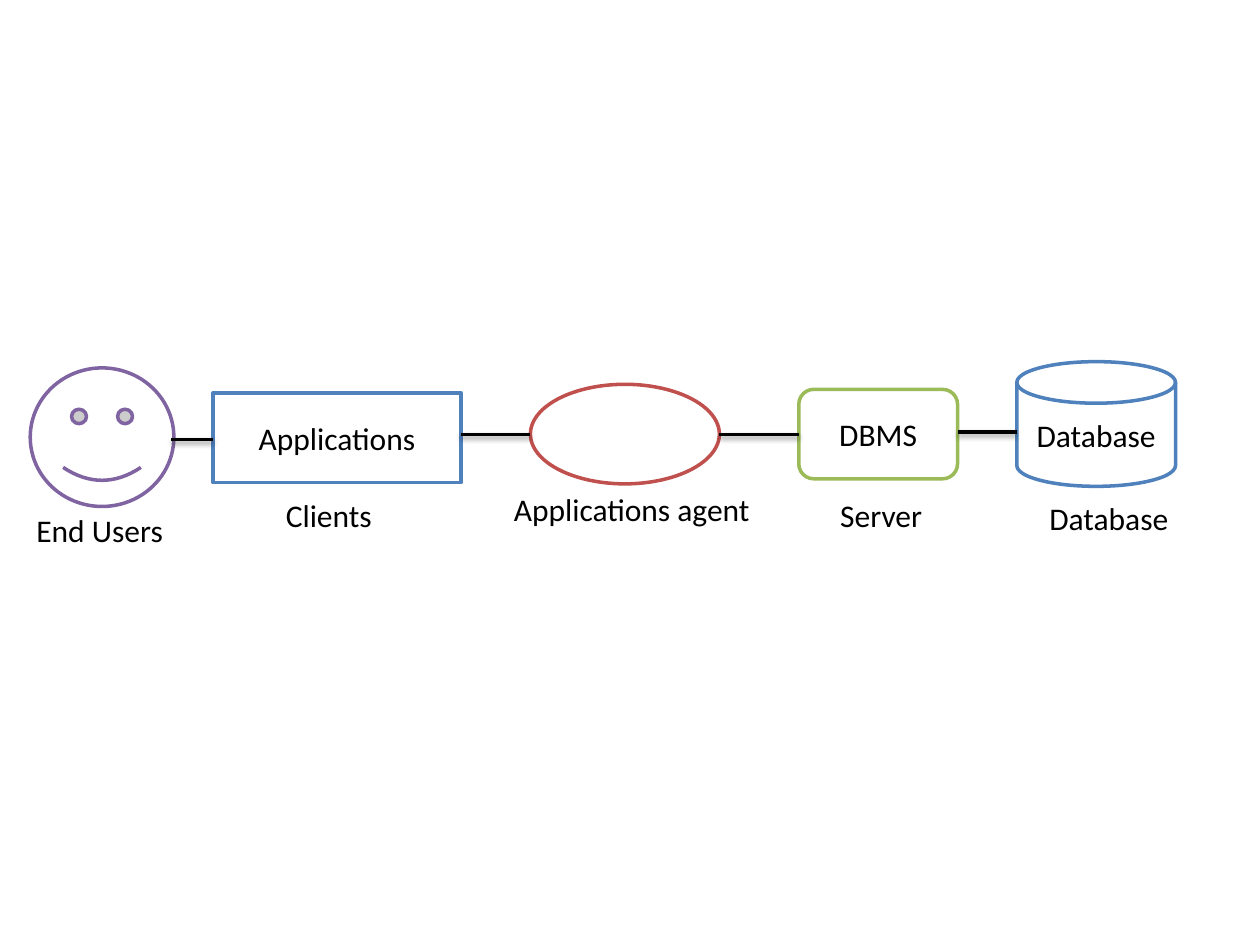
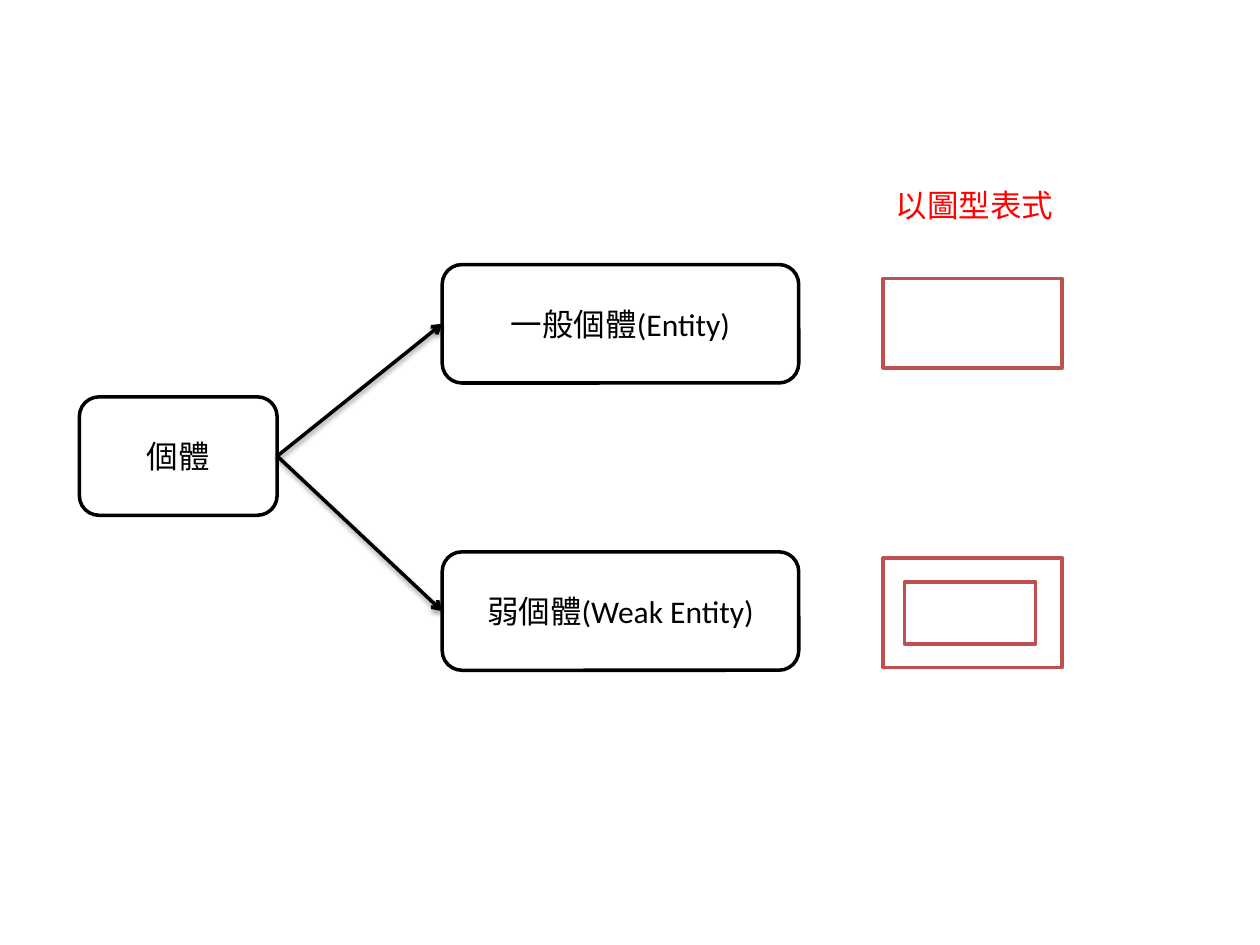
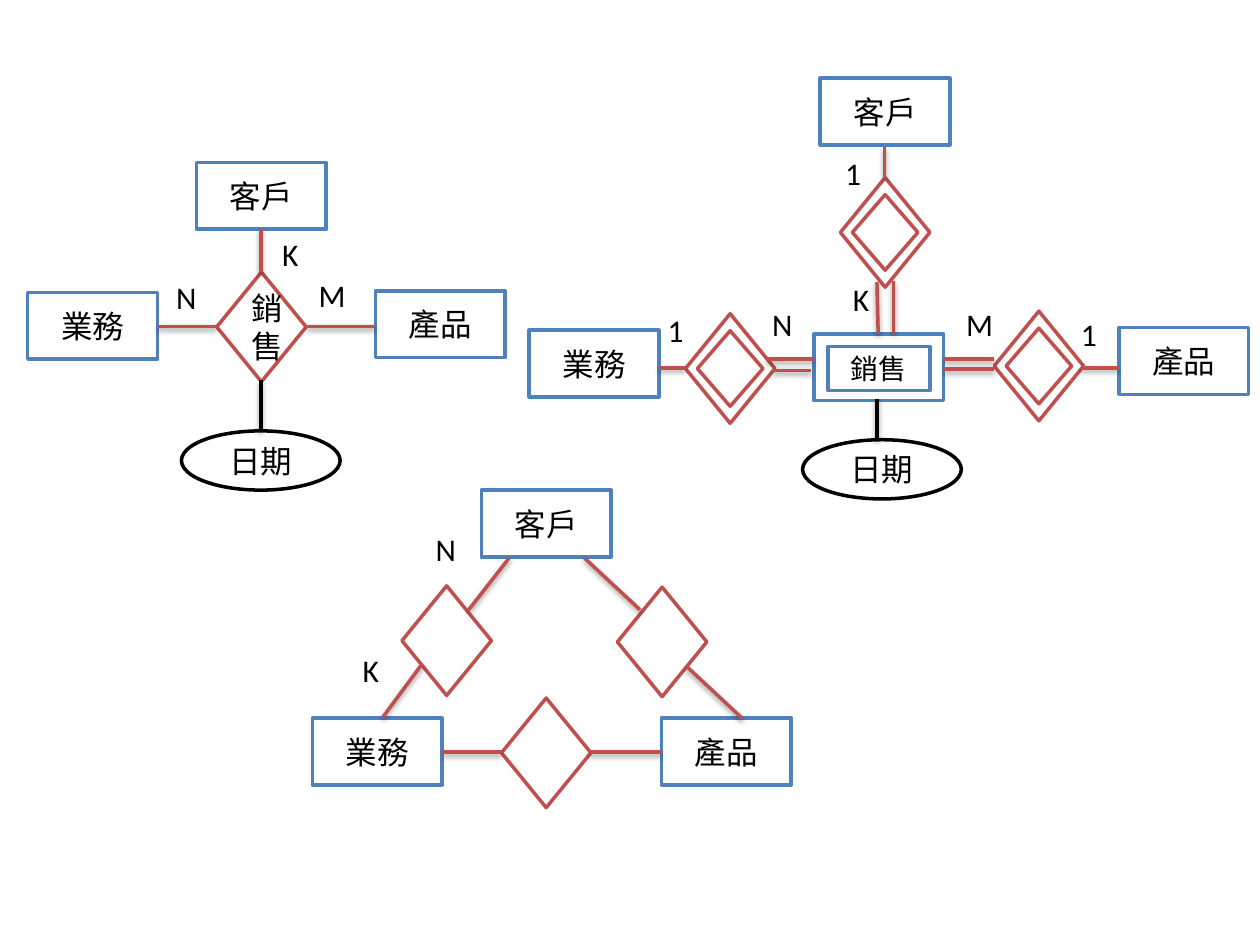
from lxml import etree
from pptx import Presentation
from pptx import util as u
from pptx.dml import color
from pptx.enum import shapes, text
from pptx.oxml import ns

BLACK, WHITE, RED = "000000", "FFFFFF", "FF0000"
BLUE, BRICK, GREEN, PURPLE = "4F81BD", "C0504D", "9BBB59", "8064A2"
SHAPE = shapes.MSO_SHAPE
ENTITY_SIZE = (1.03, 0.53)
DIAMOND_SIZE = (0.71, 0.87)
INNER_DIAMOND_SIZE = (0.52, 0.6)
ATTRIBUTE_SIZE = (1.26, 0.47)


def rgb(value):
    return color.RGBColor.from_string(value)


class Deck:
    """Holds the shared style and the slide or group being drawn on."""
    font = "Calibri"
    text_size = 18
    line_width = 2

    def __init__(self):
        self.presentation = Presentation()
        self.presentation.slide_width = u.Inches(10)
        self.presentation.slide_height = u.Inches(7.5)

    def new_slide(self):
        blank = self.presentation.slide_layouts[6]
        self.slide = self.presentation.slides.add_slide(blank)
        self.target = self.slide.shapes

    def new_group(self):
        self.target = self.slide.shapes.add_group_shape().shapes

    def set_words(self, shape, words, ink, size):
        shape.text_frame.text = words
        for paragraph in shape.text_frame.paragraphs:
            for run in paragraph.runs:
                run.font.name = self.font
                run.font.size = u.Pt(size)
                run.font.color.rgb = rgb(ink)

    def box(self, kind, place, line, words="", size=text_size):
        shape = self.target.add_shape(kind, *map(u.Inches, place))
        shape.shadow.inherit = False
        shape.fill.solid()
        shape.fill.fore_color.rgb = rgb(WHITE)
        shape.line.color.rgb = rgb(line)
        shape.line.width = u.Pt(self.line_width)
        if words:
            self.set_words(shape, words, BLACK, size)
            shape.text_frame.vertical_anchor = text.MSO_ANCHOR.MIDDLE
            shape.text_frame.paragraphs[0].alignment = text.PP_ALIGN.CENTER

    def label(self, words, left, top, width=0.33, ink=BLACK):
        shape = self.target.add_textbox(*map(u.Inches, (left, top, width, 0.4)))
        shape.text_frame.word_wrap = True
        self.set_words(shape, words, ink, self.text_size)
        shape.text_frame.auto_size = text.MSO_AUTO_SIZE.SHAPE_TO_FIT_TEXT

    def link(self, x1, y1, x2, y2, line=BRICK, arrow=False):
        connector = self.target.add_connector(
            shapes.MSO_CONNECTOR.STRAIGHT, *map(u.Inches, (x1, y1, x2, y2)))
        connector.line.color.rgb = rgb(line)
        connector.line.width = u.Pt(self.line_width)
        properties = connector._element.spPr
        if arrow:
            etree.SubElement(properties.find(ns.qn("a:ln")),
                             ns.qn("a:tailEnd"), type="arrow")
        # Soft shadow straight below the line
        effects = etree.SubElement(properties, ns.qn("a:effectLst"))
        shadow = etree.SubElement(
            effects, ns.qn("a:outerShdw"), blurRad=str(u.Pt(3.1)),
            dist=str(u.Pt(1.6)), dir="5400000", rotWithShape="0")
        shade = etree.SubElement(shadow, ns.qn("a:srgbClr"), val=BLACK)
        etree.SubElement(shade, ns.qn("a:alpha"), val="38000")

    # Parts of an entity-relationship diagram
    def entity(self, words, left, top):
        self.box(SHAPE.RECTANGLE, (left, top, *ENTITY_SIZE), BLUE, words)

    def relation(self, left, top, words=""):
        self.box(SHAPE.DIAMOND, (left, top, *DIAMOND_SIZE), BRICK, words)

    def weak_relation(self, left, top):
        self.relation(left, top)
        inset_x, inset_y = [(outer - inner) / 2 for outer, inner
                            in zip(DIAMOND_SIZE, INNER_DIAMOND_SIZE)]
        self.box(SHAPE.DIAMOND, (left + inset_x, top + inset_y,
                                 *INNER_DIAMOND_SIZE), BRICK)

    def attribute(self, words, left, top):
        self.box(SHAPE.OVAL, (left, top, *ATTRIBUTE_SIZE), BLACK, words)


deck = Deck()

# Slide 1: chain from end users to the database
deck.new_slide()
for kind, place, line, words in [
        (SHAPE.RECTANGLE, (1.69, 3.12, 1.97, 0.71), BLUE, "Applications"),
        (SHAPE.OVAL, (4.21, 3.05, 1.5, 0.79), BRICK, ""),
        (SHAPE.FLOWCHART_MAGNETIC_DISK, (8.07, 2.87, 1.26, 0.99), BLUE, "Database"),
        (SHAPE.ROUNDED_RECTANGLE, (6.34, 3.09, 1.26, 0.71), GREEN, "DBMS"),
        (SHAPE.SMILEY_FACE, (0.24, 2.92, 1.14, 1.1), PURPLE, "")]:
    deck.box(kind, place, line, words)
for words, left, top, width in [
        ("End Users", 0.19, 4.01, 1.25), ("Clients", 2.17, 3.89, 1.97),
        ("Applications agent", 3.98, 3.84, 2.13),
        ("Server", 6.57, 3.89, 1.18), ("Database", 8.23, 3.91, 1.5)]:
    deck.label(words, left, top, width)
for start, end, y in [(1.36, 1.69, 3.49), (3.66, 4.21, 3.45),
                      (5.71, 6.34, 3.45), (7.6, 8.07, 3.43)]:
    deck.link(start, y, end, y, BLACK)

# Slide 2: kinds of entity and their symbols
deck.new_slide()
deck.box(SHAPE.ROUNDED_RECTANGLE, (0.63, 3.15, 1.57, 0.94), BLACK, "個體")
for words, top in [("一般個體(Entity)", 2.1), ("弱個體(Weak Entity)", 4.38)]:
    deck.box(SHAPE.ROUNDED_RECTANGLE, (3.51, top, 2.83, 0.94), BLACK, words)
    deck.link(2.2, 3.62, 3.51, top + 0.47, BLACK, arrow=True)
for place in [(7.01, 2.21, 1.42, 0.71), (7.01, 4.43, 1.42, 0.87),
              (7.18, 4.62, 1.04, 0.49)]:
    deck.box(SHAPE.RECTANGLE, place, BRICK)
deck.label("以圖型表式", 7.01, 1.43, 1.54, RED)

# Slide 3, upper left: one relation joining three entities
deck.new_slide()
deck.new_group()
deck.relation(1.72, 2.16, "銷售")
deck.entity("業務", 0.22, 2.32)
deck.entity("產品", 2.98, 2.31)
deck.entity("客戶", 1.56, 1.29)
deck.attribute("日期", 1.44, 3.42)
deck.link(1.25, 2.59, 1.72, 2.59)
deck.link(2.43, 2.59, 2.98, 2.59)
deck.link(2.07, 2.16, 2.07, 1.82)
deck.link(2.07, 3.02, 2.07, 3.42, BLACK)
deck.label("K", 2.14, 1.82)
deck.label("M", 2.43, 2.14, 0.42)
deck.label("N", 1.3, 2.16, 0.36)

# Slide 3, upper right: a weak entity with three weak relations
deck.new_group()
for left, top in [(5.44, 2.49), (7.89, 2.47), (6.67, 1.41)]:
    deck.weak_relation(left, top)
deck.entity("", 6.46, 2.65)
deck.box(SHAPE.RECTANGLE, (6.57, 2.75, 0.81, 0.35), BLUE, "銷售", size=16)
deck.entity("業務", 4.2, 2.62)
deck.entity("產品", 8.88, 2.6)
deck.entity("客戶", 6.51, 0.62)
deck.attribute("日期", 6.37, 3.49)
for ends in [(5.23, 2.92, 5.44, 2.92), (6.08, 2.85, 6.46, 2.85),
             (6.13, 2.94, 6.44, 2.94), (7.49, 2.85, 7.89, 2.85),
             (7.49, 2.93, 7.89, 2.93), (8.58, 2.92, 8.88, 2.92),
             (7.02, 1.17, 7.02, 1.41), (6.96, 2.24, 6.97, 2.65),
             (7.09, 2.23, 7.09, 2.64)]:
    deck.link(*ends)
deck.link(6.96, 3.17, 6.96, 3.49, BLACK)
for left, top in [(5.2, 2.42), (8.48, 2.45), (6.61, 1.17)]:
    deck.label("1", left, top)
deck.label("N", 6.03, 2.37, 0.27)
deck.label("M", 7.57, 2.37, 0.42)
deck.label("K", 6.67, 2.17, 0.27)

# Slide 3, bottom: three entities joined in pairs
deck.new_group()
for left, top in [(3.19, 4.65), (3.98, 5.54), (4.9, 4.66)]:
    deck.relation(left, top)
deck.entity("業務", 2.48, 5.7)
deck.entity("產品", 5.25, 5.7)
deck.entity("客戶", 3.82, 3.89)
for ends in [(3.04, 5.69, 3.35, 5.27), (3.72, 4.84, 4.04, 4.43),
             (5.08, 4.84, 4.64, 4.43), (5.89, 5.7, 5.45, 5.29),
             (3.98, 5.97, 3.51, 5.97), (5.25, 5.97, 4.68, 5.97)]:
    deck.link(*ends)
deck.label("K", 2.78, 5.12)
deck.label("N", 3.36, 4.16, 0.36)

deck.presentation.save("out.pptx")
